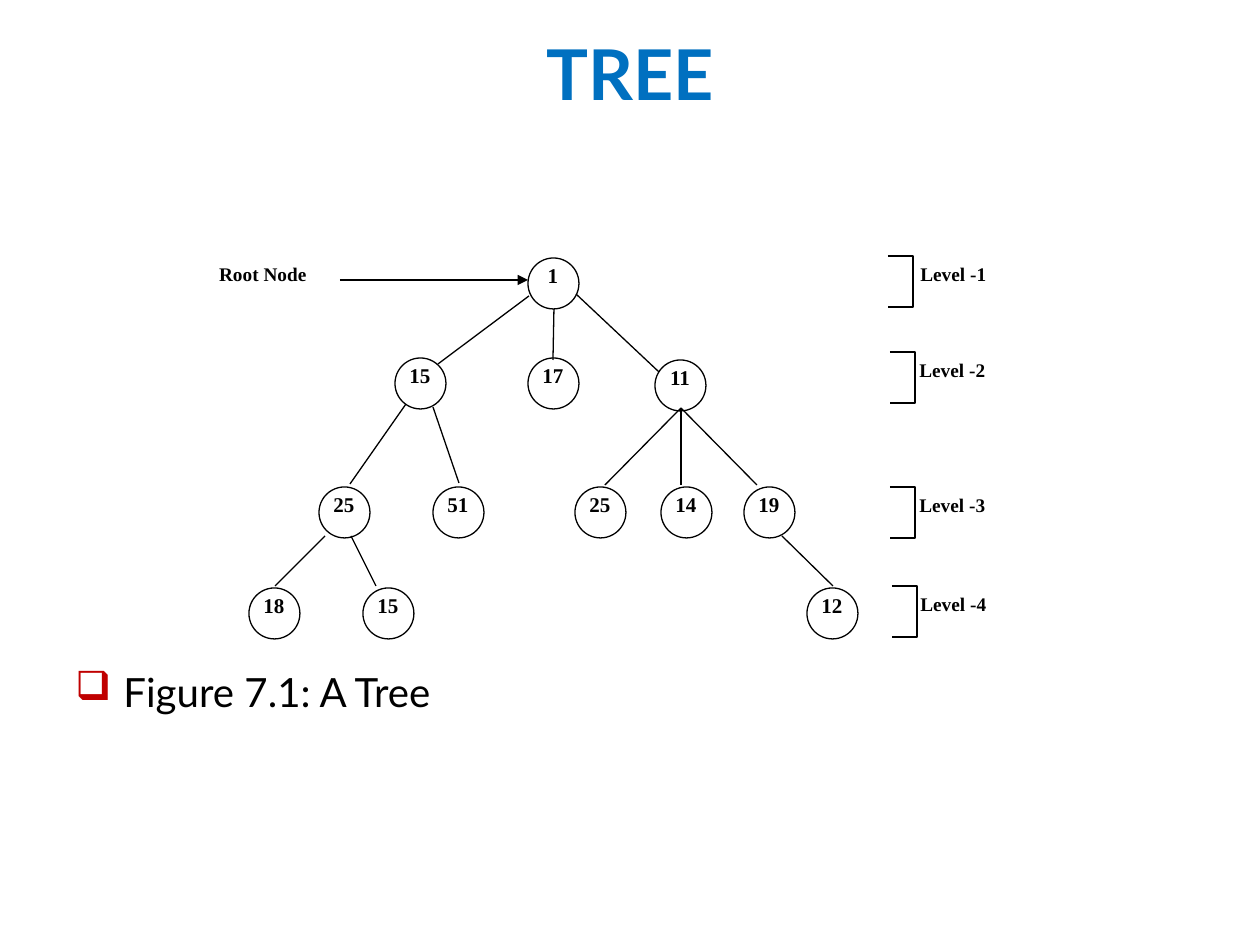
import pptx
import pptx.util
import pptx.dml.color
import pptx.enum.shapes
import pptx.enum.text
import pptx.oxml
import pptx.oxml.ns
from dataclasses import dataclass

TITLE = "TREE"
CAPTION = "Figure 7.1: A Tree"
ROOT_LABEL = "Root Node"

# value, left and top of the circle in px
NODES = [
    ("1", 528, 258),
    ("15", 395, 358), ("17", 528, 358), ("11", 655, 360),
    ("25", 319, 487), ("19", 744, 487), ("51", 433, 487),
    ("14", 661, 487), ("25", 575, 487),
    ("12", 807, 588), ("15", 363, 588), ("18", 249, 588),
]
# start x, y and end x, y in px
BRANCHES = [
    (438, 364, 529, 296), (576, 294, 659, 372), (553, 360, 554, 309),
    (406, 404, 350, 484), (459, 483, 433, 407),
    (275, 586, 325, 536), (376, 586, 351, 536),
    (605, 485, 681, 408), (681, 408, 757, 485), (681, 408, 681, 485),
    (782, 536, 833, 586),
]
ROOT_ARROW = (340, 280, 528, 280)
# label, left of the label, left of the bracket, top in px
LEVELS = [
    ("Level -1", 908, 888, 256), ("Level -2", 907, 890, 352),
    ("Level -3", 907, 890, 487), ("Level -4", 908, 892, 586),
]

PX = pptx.util.Inches(1) // 126
CIRCLE = 51
NODE_LABEL_WIDTH = 2 * CIRCLE
BRACKET_WIDTH = 25
INDENT = 48

ALIGN = pptx.enum.text.PP_ALIGN
SHAPE = pptx.enum.shapes.MSO_SHAPE
RGB = pptx.dml.color.RGBColor.from_string


@dataclass(frozen=True)
class Theme:
    title_color: str = "0070C0"
    bullet_color: str = "C00000"
    ink: str = "000000"
    paper: str = "FFFFFF"
    heading_font: str = "Lato"
    label_font: str = "Times New Roman"
    title_size: int = 40
    caption_size: int = 23
    node_size: int = 12
    label_size: int = 11
    line_width: float = 0.75


THEME = Theme()


def px(*values):
    return [pptx.util.Emu(value * PX) for value in values]


def write(box, text, font, size, color, bold, align):
    frame = box.text_frame
    frame.word_wrap = True
    frame.text = text
    para = frame.paragraphs[0]
    para.alignment = align
    span = para.runs[0].font
    span.name, span.size, span.bold = font, pptx.util.Pt(size), bold
    span.color.rgb = RGB(color)
    return para


def outline(item):
    item.line.color.rgb = RGB(THEME.ink)
    item.line.width = pptx.util.Pt(THEME.line_width)


def fill_paper(shape):
    shape.fill.solid()
    shape.fill.fore_color.rgb = RGB(THEME.paper)


def add_label(page, text, left, top, width, size, align):
    box = page.shapes.add_shape(SHAPE.RECTANGLE, *px(left, top, width, CIRCLE))
    box.shadow.inherit = False
    fill_paper(box)
    box.line.fill.background()
    box.text_frame.vertical_anchor = pptx.enum.text.MSO_ANCHOR.TOP
    write(box, text, THEME.label_font, size, THEME.ink, True, align)


def add_node(page, value, left, top):
    add_label(page, value, left + (CIRCLE - NODE_LABEL_WIDTH) // 2, top - 2,
              NODE_LABEL_WIDTH, THEME.node_size, ALIGN.CENTER)
    circle = page.shapes.add_shape(SHAPE.OVAL, *px(left, top, CIRCLE, CIRCLE))
    circle.shadow.inherit = False
    circle.fill.background()
    outline(circle)


def add_line(page, ends, arrow=False):
    line = page.shapes.add_connector(
        pptx.enum.shapes.MSO_CONNECTOR.STRAIGHT, *px(*ends))
    outline(line)
    properties = line._element.spPr
    if arrow:
        head = pptx.oxml.ns.qn("a:tailEnd")
        line.line._get_or_add_ln().append(
            properties.makeelement(head, {"type": "triangle"}))
    properties.append(
        properties.makeelement(pptx.oxml.ns.qn("a:effectLst"), {}))


def add_bracket(page, left, top):
    right, bottom = left + BRACKET_WIDTH, top + CIRCLE
    builder = page.shapes.build_freeform(left, top, scale=PX)
    builder.add_line_segments(
        [(right, top), (right, bottom), (left, bottom)], close=False)
    bracket = builder.convert_to_shape()
    bracket.shadow.inherit = False
    fill_paper(bracket)
    outline(bracket)


def add_bullet(para, char, color):
    properties = para._p.get_or_add_pPr()
    properties.set("marL", str(INDENT * PX))
    properties.set("indent", str(-INDENT * PX))
    bullet_color = properties.makeelement(pptx.oxml.ns.qn("a:buClr"), {})
    bullet_color.append(properties.makeelement(
        pptx.oxml.ns.qn("a:srgbClr"), {"val": color}))
    properties.append(bullet_color)
    properties.append(properties.makeelement(
        pptx.oxml.ns.qn("a:buChar"), {"char": char}))


def main():
    deck = pptx.Presentation()
    deck.slide_width, deck.slide_height = px(1260, 945)
    page = deck.slides.add_slide(deck.slide_layouts[5])

    title = page.shapes.title
    title.left, title.top, title.width, title.height = px(63, 10, 1134, 126)
    title.text_frame.vertical_anchor = pptx.enum.text.MSO_ANCHOR.MIDDLE
    write(title, TITLE, THEME.heading_font, THEME.title_size,
          THEME.title_color, True, ALIGN.CENTER)

    caption = page.shapes.add_textbox(*px(63, 661, 1134, 199))
    para = write(caption, CAPTION, THEME.heading_font, THEME.caption_size,
                 THEME.ink, False, ALIGN.LEFT)
    add_bullet(para, "❑", THEME.bullet_color)

    for node in NODES:
        add_node(page, *node)
    for branch in BRANCHES:
        add_line(page, branch)

    add_line(page, ROOT_ARROW, arrow=True)
    add_label(page, ROOT_LABEL, 116, 256, 203, THEME.label_size, ALIGN.RIGHT)

    for text, label_left, bracket_left, top in LEVELS:
        add_label(page, text, label_left, top, 152, THEME.label_size, ALIGN.LEFT)
        add_bracket(page, bracket_left, top)

    deck.save("out.pptx")


if __name__ == "__main__":
    main()
